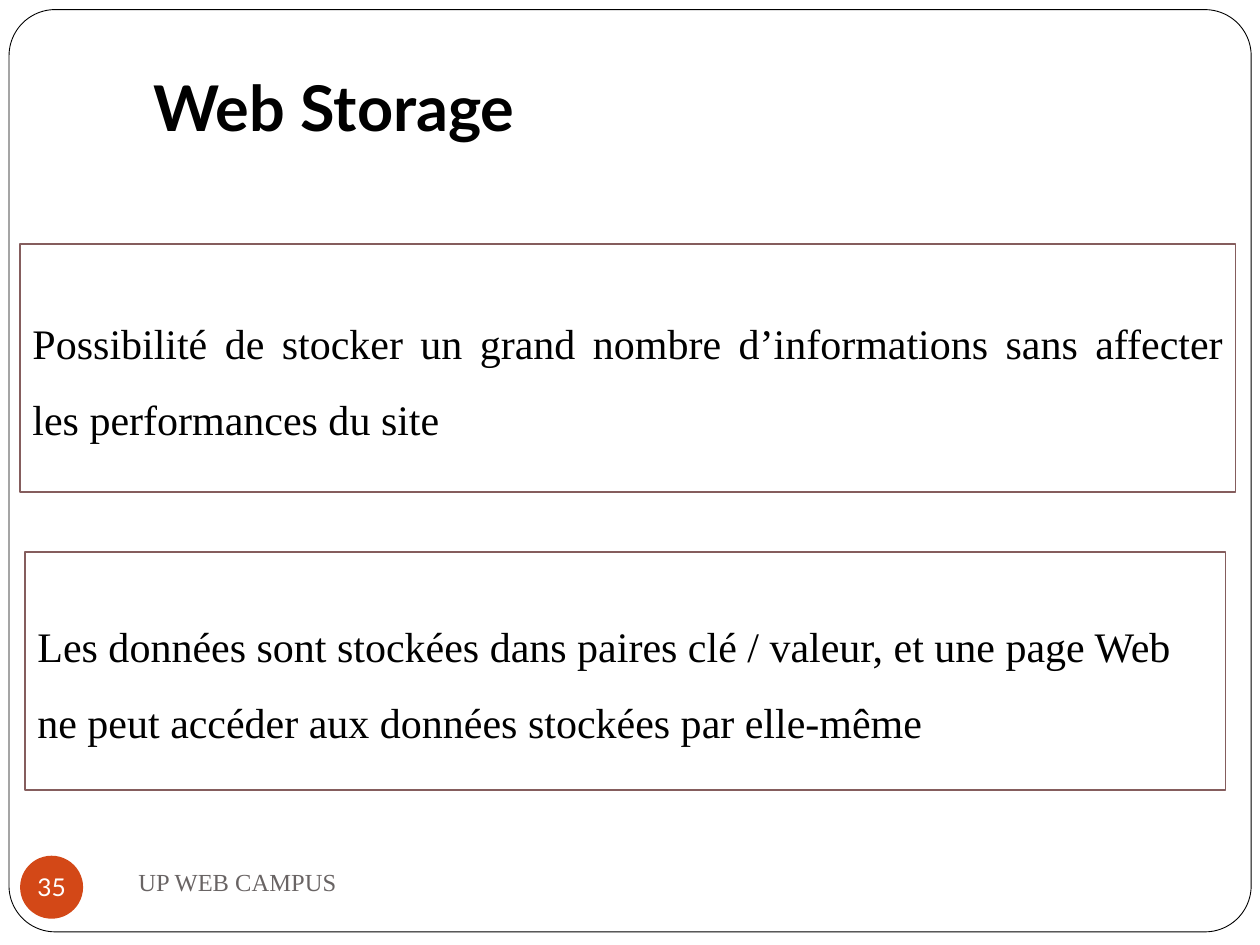
from pptx import Presentation
from pptx import util as u
from pptx.dml.color import RGBColor
from pptx.enum import shapes, text

BLACK = RGBColor(0x00, 0x00, 0x00)
WHITE = RGBColor(0xFF, 0xFF, 0xFF)
GRAY = RGBColor(0x69, 0x64, 0x64)
ORANGE = RGBColor(0xD3, 0x48, 0x17)
BROWN = RGBColor(0x85, 0x5D, 0x5D)
SANS, SERIF = "Lato", "Times New Roman"
KIND = shapes.MSO_SHAPE
ALIGN = text.PP_ALIGN
ANCHOR = text.MSO_ANCHOR


def write(shape, words, size=24, font=SERIF, color=BLACK, bold=False,
          align=ALIGN.LEFT, anchor=ANCHOR.MIDDLE, space=1.0,
          inset=(7.2, 3.6, 7.2, 3.6), wrap=True):
    frame = shape.text_frame
    frame.word_wrap = wrap
    frame.vertical_anchor = anchor
    (frame.margin_left, frame.margin_top,
     frame.margin_right, frame.margin_bottom) = map(u.Pt, inset)
    para = frame.paragraphs[0]
    para.alignment = align
    para.line_spacing = space
    run = para.add_run()
    run.text = words
    run.font.size = u.Pt(size)
    run.font.name = font
    run.font.bold = bold
    run.font.color.rgb = color


class Deck:
    def __init__(self, wide, high):
        self.show = Presentation()
        self.show.slide_width = u.Pt(wide)
        self.show.slide_height = u.Pt(high)
        self.slide = self.show.slides.add_slide(self.show.slide_layouts[6])

    def shape(self, kind, box, fill=WHITE, line=None, width=1):
        item = self.slide.shapes.add_shape(kind, *map(u.Pt, box))
        item.shadow.inherit = False
        item.fill.solid()
        item.fill.fore_color.rgb = fill
        if line is None:
            item.line.fill.background()
        else:
            item.line.color.rgb = line
            item.line.width = u.Pt(width)
        return item

    def frame(self, box, round):
        item = self.shape(KIND.ROUNDED_RECTANGLE, box, line=BLACK, width=0.5)
        item.adjustments[0] = round

    def label(self, box, words, **style):
        write(self.slide.shapes.add_textbox(*map(u.Pt, box)), words, **style)

    def panel(self, box, words, **style):
        item = self.shape(KIND.RECTANGLE, box, line=BROWN)
        write(item, words, space=1.5, **style)

    def badge(self, box, words):
        item = self.shape(KIND.OVAL, box, fill=ORANGE)
        write(item, words, size=14, font=SANS, color=WHITE,
              align=ALIGN.CENTER, inset=(0, 0, 0, 0), wrap=False)


def main():
    deck = Deck(720, 540)
    deck.frame((5.2, 5.5, 709.8, 527), 0.05)
    deck.label((73.4, 22.3, 612, 67), "Web Storage", size=36, font=SANS,
               bold=True, anchor=ANCHOR.BOTTOM, inset=(14.4, 3.6, 7.2, 7.2))
    deck.label((72, 486, 312, 36), "UP WEB CAMPUS", size=14, color=GRAY)
    deck.badge((11.5, 489, 36, 36), "35")
    deck.panel((11.5, 139.5, 694.6, 141.7),
               "Possibilité de stocker un grand nombre d’informations sans "
               "affecter les performances du site", align=ALIGN.JUSTIFY)
    deck.panel((14.3, 315.5, 686, 136),
               "Les données sont stockées dans paires clé / valeur, et une page "
               "Web ne peut accéder aux données stockées par elle-même")
    deck.show.save("out.pptx")


if __name__ == "__main__":
    main()
